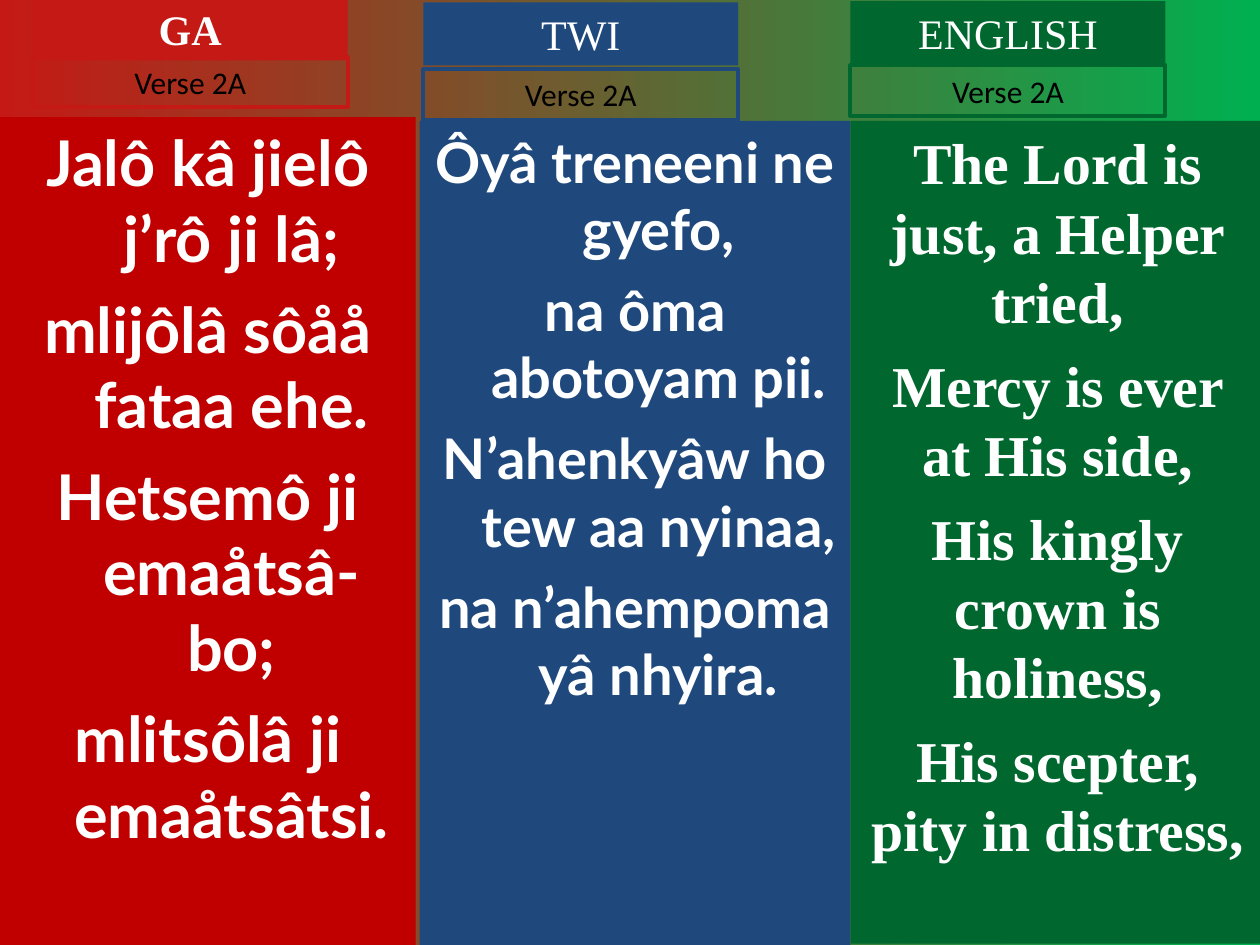
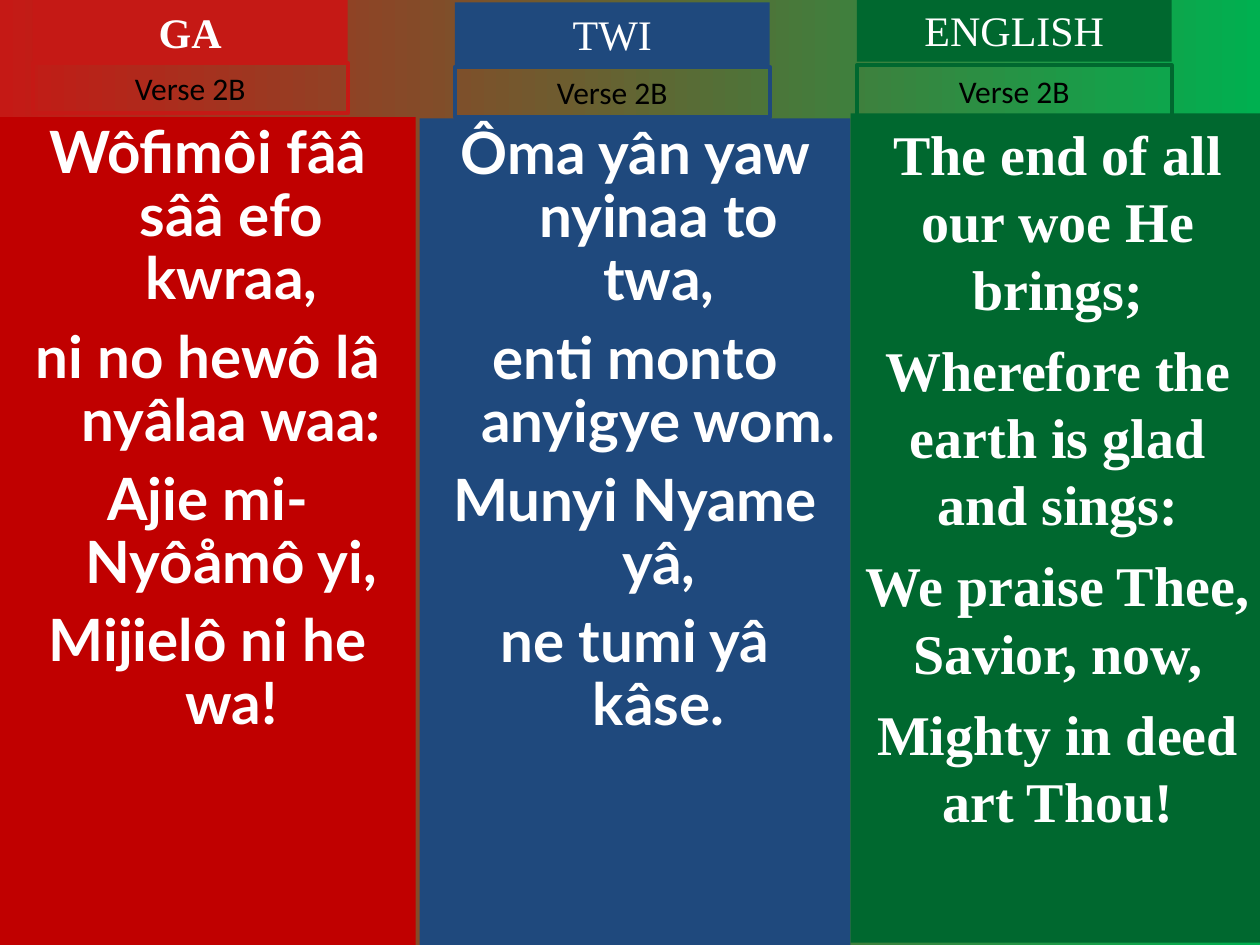
import pptx
import pptx.util
import pptx.dml.color
import pptx.enum.shapes
import pptx.enum.text

Pt = pptx.util.Pt
COLORS = {
    "ga": "C00000", "ga_head": "C51915", "twi": "1F497D", "english": "00682F",
    "bg_end": "00B050", "white": "FFFFFF", "black": "000000",
}
HEAD_W, HEAD_H, VERSE_H = 180, 36, 28.8
HANGING = 27
COLUMNS = {
    "GA": dict(left=0, width=237.6, fill="ga", accent="ga_head",
               font="Lato", hang=HANGING, bold_head=True),
    "TWI": dict(left=239.8, width=246.2, fill="twi", accent="twi",
                font="Lato", hang=HANGING, bold_head=False),
    "ENGLISH": dict(left=486, width=236.9, fill="english", accent="english",
                    font="Times New Roman", hang=0, bold_head=False),
}
SLIDES = [
    ("Verse 2A", {
        "GA": dict(head=(18.7, -1.4), verse_top=32.4, top=67, bottom=540, size=36, before=9,
                   lines=["Jalô kâ jielô j’rô ji lâ;", "mlijôlâ sôåå fataa ehe.",
                          "Hetsemô ji emaåtsâ-bo;", "mlitsôlâ ji emaåtsâtsi."]),
        "TWI": dict(head=(241.9, 1.4), verse_top=39.6, top=69.1, bottom=540, size=32, before=8,
                    lines=["Ôyâ treneeni ne gyefo,", "na ôma abotoyam pii.",
                           "N’ahenkyâw ho tew aa nyinaa,", "na n’ahempoma yâ nhyira."]),
        "ENGLISH": dict(head=(486, 0.7), verse_top=37.4, top=69.1, bottom=539.3, size=33, before=8.2,
                        lines=["The Lord is just, a Helper tried,", "Mercy is ever at His side,",
                               "His kingly crown is holiness,", "His scepter, pity in distress,"]),
    }),
    ("Verse 2B", {
        "GA": dict(head=(18.7, 0), verse_top=36, top=67, bottom=540, size=33.3, before=9, spacing=0.9,
                   lines=["Wôfimôi fââ sââ efo kwraa,", "ni no hewô lâ nyâlaa waa:",
                          "Ajie mi-Nyôåmô yi,", "Mijielô ni he wa!"]),
        "TWI": dict(head=(259.9, 1.4), verse_top=38.2, top=67.7, bottom=540, size=33.3, before=9, spacing=0.9,
                    lines=["Ôma yân yaw nyinaa to twa,", "enti monto anyigye wom.",
                           "Munyi Nyame yâ,", "ne tumi yâ kâse."]),
        "ENGLISH": dict(head=(489.6, -0.7), verse_top=37.4, top=64.8, bottom=538.6, size=32, before=8,
                        lines=["The end of all our woe He brings;", "Wherefore the earth is glad and sings:",
                               "We praise Thee, Savior, now,", "Mighty in deed art Thou!"]),
    }),
]


def rgb(name):
    return pptx.dml.color.RGBColor.from_string(COLORS[name])


def write(p, text, font, size, color="white", bold=False, before=0, spacing=None, hang=0):
    p.alignment = pptx.enum.text.PP_ALIGN.CENTER
    p.space_before = Pt(before)
    if spacing:
        p.line_spacing = spacing
    if hang:
        pPr = p._p.get_or_add_pPr()
        pPr.set("marL", str(Pt(hang)))
        pPr.set("indent", str(-Pt(hang)))
    r = p.add_run()
    r.text = text
    r.font.name, r.font.size, r.font.bold = font, Pt(size), bold
    r.font.color.rgb = rgb(color)


class Hymn:
    def __init__(self, prs):
        self.prs = prs
        self.s = None

    def new_slide(self):
        self.s = self.prs.slides.add_slide(self.prs.slide_layouts[6])
        fill = self.s.background.fill
        fill.gradient()
        fill.gradient_angle = 0
        for stop, name in zip(fill.gradient_stops, ("ga_head", "bg_end")):
            stop.color.rgb = rgb(name)

    def box(self, left, top, width, height, fill=None, line=None, grow=False):
        sp = self.s.shapes.add_shape(pptx.enum.shapes.MSO_SHAPE.RECTANGLE,
                                     Pt(left), Pt(top), Pt(width), Pt(height))
        sp.shadow.inherit = False
        if fill:
            sp.fill.solid()
            sp.fill.fore_color.rgb = rgb(fill)
        else:
            sp.fill.background()
        if line:
            sp.line.color.rgb = rgb(line)
            sp.line.width = Pt(2.25)
        else:
            sp.line.fill.background()
        tf = sp.text_frame
        tf.word_wrap = True
        tf.vertical_anchor = pptx.enum.text.MSO_ANCHOR.TOP
        if grow:
            tf.auto_size = pptx.enum.text.MSO_AUTO_SIZE.SHAPE_TO_FIT_TEXT
        return tf

    def lyrics(self, col, part):
        tf = self.box(col["left"], part["top"], col["width"],
                      part["bottom"] - part["top"], fill=col["fill"])
        for i, text in enumerate(part["lines"]):
            p = tf.add_paragraph() if i else tf.paragraphs[0]
            write(p, text, col["font"], part["size"], bold=True, hang=col["hang"],
                  before=part["before"] if i else 0, spacing=part.get("spacing"))

    def heading(self, language, col, part):
        left, top = part["head"]
        tf = self.box(left, top, HEAD_W, HEAD_H, fill=col["accent"], grow=True)
        write(tf.paragraphs[0], language, "Times New Roman", 24, bold=col["bold_head"])

    def verse_label(self, verse, col, part):
        tf = self.box(part["head"][0], part["verse_top"], HEAD_W, VERSE_H,
                      line=col["accent"], grow=True)
        write(tf.paragraphs[0], verse, "Calibri", 18, color="black")


def main():
    prs = pptx.Presentation()
    prs.slide_width, prs.slide_height = Pt(720), Pt(540)
    hymn = Hymn(prs)
    for verse, parts in SLIDES:
        hymn.new_slide()
        for language, part in parts.items():
            col = COLUMNS[language]
            hymn.lyrics(col, part)
            hymn.heading(language, col, part)
            hymn.verse_label(verse, col, part)
    prs.save("out.pptx")


if __name__ == "__main__":
    main()
